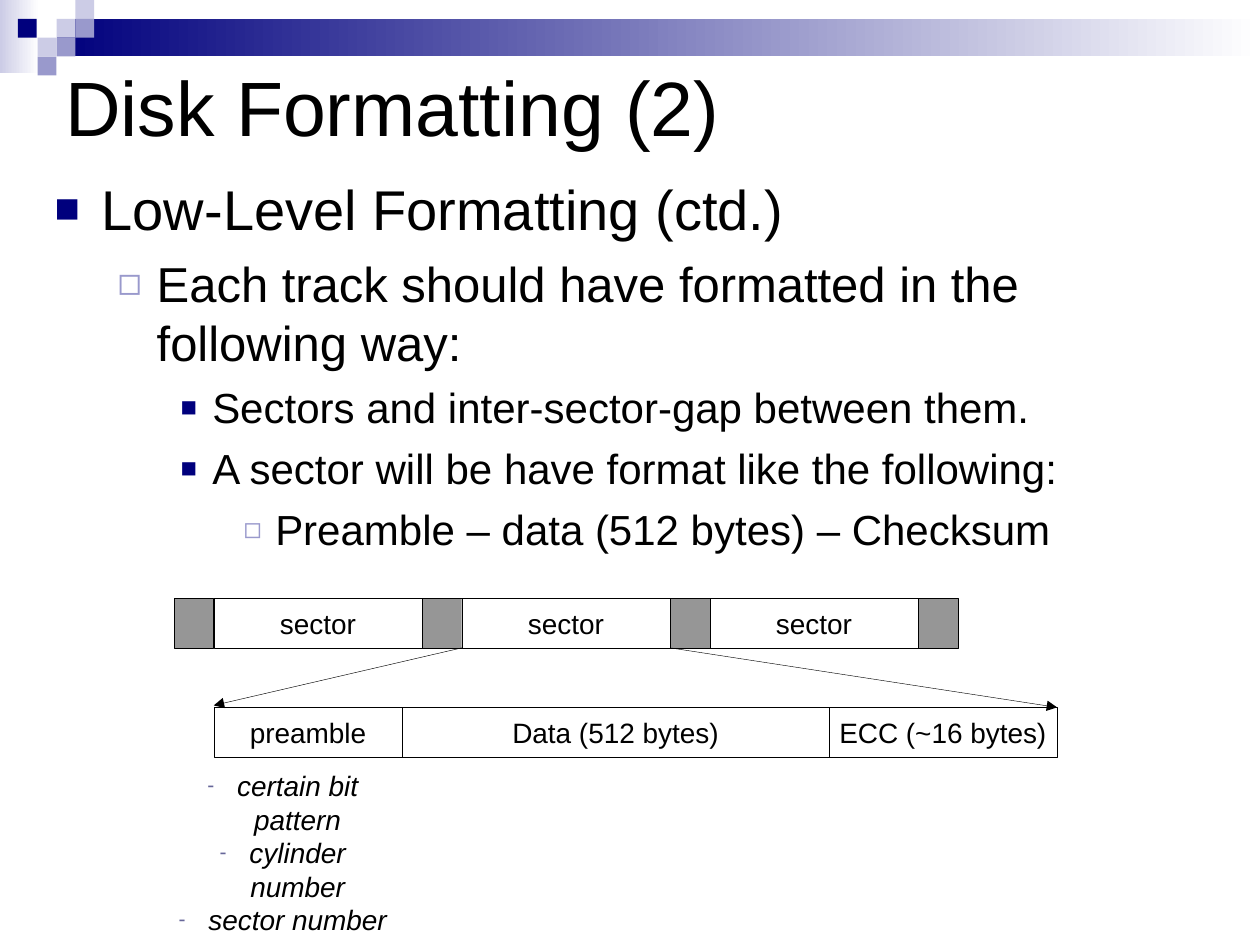
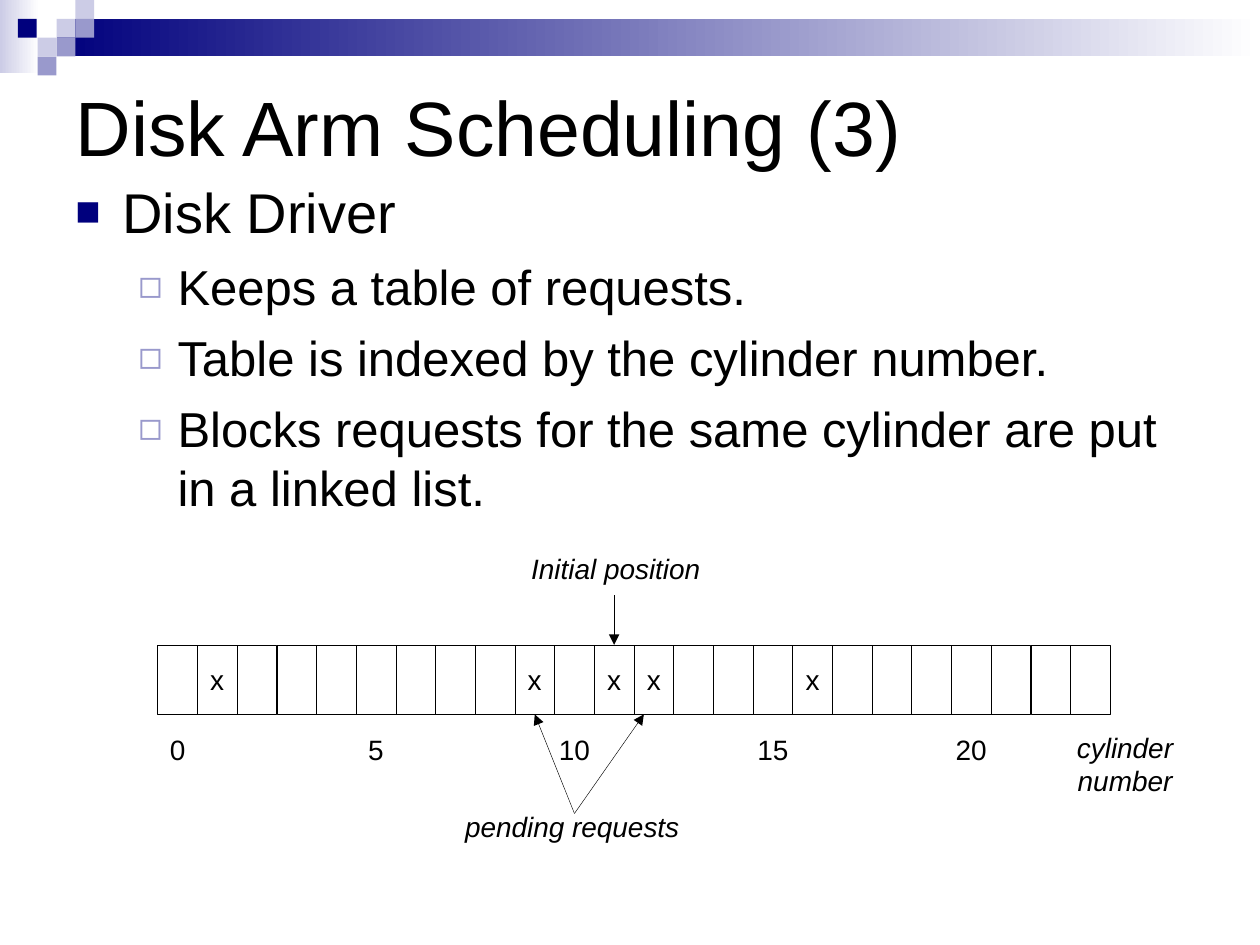
"""Build two slides on disk formatting and disk arm scheduling."""
from lxml import etree
from pptx import Presentation
from pptx import util as u
from pptx.dml.color import RGBColor
from pptx.enum import shapes, text
from pptx.oxml import ns

Cm, Pt = u.Cm, u.Pt
NAVY = RGBColor(0x00, 0x00, 0x7D)
LILAC = RGBColor(0x99, 0x99, 0xCC)
PALE = RGBColor(0xCC, 0xCC, 0xE6)
SLATE = RGBColor(0x66, 0x66, 0x99)
GRAY = RGBColor(0x96, 0x96, 0x96)
BLACK = RGBColor(0x00, 0x00, 0x00)
WHITE = RGBColor(0xFF, 0xFF, 0xFF)

FONT = "Arial"
HAIRLINE = Pt(0.25)
TILE = 0.38
TILES = [(3, 1, PALE), (4, 0, PALE), (4, 1, LILAC), (2, 2, PALE),
         (0.95, 1, NAVY), (3, 2, LILAC), (2, 3, LILAC)]
# Per level: size, left margin, hanging indent, space before, bullet, colour, percent
LEVELS = [(32, 0.95, 0.95, 8, "■", NAVY, 75),
          (28, 2.06, 0.79, 7, "◻", LILAC, 80),
          (24, 3.18, 0.64, 6, "■", NAVY, 65),
          (24, 4.45, 0.64, 6, "◻", LILAC, 70)]
CELL = 0.8


def write(para, content, size=16, italic=False, align=text.PP_ALIGN.CENTER):
    """Add formatted text to a paragraph."""
    para.alignment = align
    span = para.add_run()
    span.text = content
    span.font.name = FONT
    span.font.size = Pt(size)
    span.font.italic = italic
    span.font.color.rgb = BLACK


def paragraphs(frame, count):
    """Return the given number of paragraphs of a text frame."""
    return [frame.paragraphs[0]] + [frame.add_paragraph() for _ in range(count - 1)]


def set_bullet(para, char, color, percent, margin, hanging):
    """Give a paragraph a bullet with a hanging indent."""
    props = para._p.get_or_add_pPr()
    props.set("marL", str(Cm(margin)))
    props.set("indent", str(-Cm(hanging)))
    fill = etree.SubElement(props, ns.qn("a:buClr"))
    etree.SubElement(fill, ns.qn("a:srgbClr"), val=str(color))
    etree.SubElement(props, ns.qn("a:buSzPct"), val=str(percent * 1000))
    etree.SubElement(props, ns.qn("a:buFont"), typeface=FONT)
    etree.SubElement(props, ns.qn("a:buChar"), char=char)


def add_rect(page, left, top, width, height, fill=None, fade=False,
             outlined=False, label=None):
    """Draw a rectangle, plain, fading to white or outlined with a label."""
    rect = page.shapes.add_shape(shapes.MSO_SHAPE.RECTANGLE, Cm(left), Cm(top),
                                 Cm(width), Cm(height))
    rect.shadow.inherit = False
    if fade:
        rect.fill.gradient()
        rect.fill.gradient_angle = 0
        for stop, color in zip(rect.fill.gradient_stops, (fill, WHITE)):
            stop.color.rgb = color
    elif fill is not None:
        rect.fill.solid()
        rect.fill.fore_color.rgb = fill
    else:
        rect.fill.background()
    if outlined:
        rect.line.color.rgb = BLACK
        rect.line.width = HAIRLINE
    else:
        rect.line.fill.background()
    if label:
        rect.text_frame.word_wrap = False
        rect.text_frame.vertical_anchor = text.MSO_ANCHOR.MIDDLE
        write(rect.text_frame.paragraphs[0], label)


def add_label(page, left, top, width, height, *lines, italic=True,
              anchor=text.MSO_ANCHOR.TOP):
    """Add a centred text label without a frame or side margins."""
    box = page.shapes.add_textbox(Cm(left), Cm(top), Cm(width), Cm(height))
    frame = box.text_frame
    frame.word_wrap = False
    frame.margin_left = frame.margin_right = 0
    frame.vertical_anchor = anchor
    for para, line in zip(paragraphs(frame, len(lines)), lines):
        write(para, line, italic=italic)


def add_arrow(page, start, end):
    """Draw a thin arrow from start to end."""
    points = [Cm(value) for value in (*start, *end)]
    arrow = page.shapes.add_connector(shapes.MSO_CONNECTOR.STRAIGHT, *points)
    arrow.line.color.rgb = BLACK
    arrow.line.width = HAIRLINE
    etree.SubElement(arrow.line._get_or_add_ln(), ns.qn("a:tailEnd"), type="triangle")
    etree.SubElement(arrow._element.spPr, ns.qn("a:effectLst"))


def add_outline(page, left, top, width, height, items):
    """Add a bulleted outline from pairs of level and text."""
    box = page.shapes.add_textbox(Cm(left), Cm(top), Cm(width), Cm(height))
    box.text_frame.word_wrap = True
    for index, (para, (level, content)) in enumerate(
            zip(paragraphs(box.text_frame, len(items)), items)):
        size, margin, hanging, before, char, color, percent = LEVELS[level]
        para.level = level
        set_bullet(para, char, color, percent, margin, hanging)
        if index:
            para.space_before = Pt(before)
        write(para, content, size=size, align=text.PP_ALIGN.LEFT)


def add_notes_list(page, left, top, width, height, items):
    """Add a centred italic list with dashes."""
    box = page.shapes.add_textbox(Cm(left), Cm(top), Cm(width), Cm(height))
    box.text_frame.word_wrap = True
    for para, item in zip(paragraphs(box.text_frame, len(items)), items):
        set_bullet(para, "-", SLATE, 75, 0.6, 0.6)
        write(para, item, italic=True)


def add_page(deck, title, left, top, width, height):
    """Add a slide with the header band, corner tiles and a title."""
    page = deck.slides.add_slide(deck.slide_layouts.get_by_name("Title Only"))
    add_rect(page, 0, 0, 0.79, 1.47, fill=PALE, fade=True)
    add_rect(page, 3 * TILE, TILE, 25.4 - 3 * TILE, 2 * TILE, fill=NAVY, fade=True)
    for column, row, color in TILES:
        add_rect(page, column * TILE, row * TILE, TILE, TILE, fill=color)
    holder = page.shapes.title
    holder.left, holder.top = Cm(left), Cm(top)
    holder.width, holder.height = Cm(width), Cm(height)
    frame = holder.text_frame
    frame.auto_size = text.MSO_AUTO_SIZE.NONE
    frame.vertical_anchor = text.MSO_ANCHOR.MIDDLE
    write(frame.paragraphs[0], title, size=44, align=text.PP_ALIGN.LEFT)
    return page


def add_track(page):
    """Draw the track of sectors and gaps and the layout of one sector."""
    left, top, height, sector = 3.51, 12.06, 1, 4.2
    pitch = CELL + sector
    for index in range(4):
        gap_left = left + index * pitch
        add_rect(page, gap_left, top, CELL, height, fill=GRAY, outlined=True)
        if index < 3:
            add_rect(page, gap_left + CELL, top, sector, height,
                     outlined=True, label="sector")

    record_left = field_left = left + CELL
    record_top = 14.26
    for label, width in [("preamble", 3.8), ("Data (512 bytes)", 8.6),
                         ("ECC (~16 bytes)", 4.6)]:
        add_rect(page, field_left, record_top, width, height, outlined=True, label=label)
        field_left += width

    bottom = top + height
    add_arrow(page, (left + pitch + CELL, bottom), (record_left, record_top - 0.04))
    add_arrow(page, (left + 2 * pitch, bottom), (field_left, record_top))
    add_notes_list(page, 3.2, 15.37, 5, 2.29,
                   ["certain bit pattern", "cylinder number", "sector number"])


def add_cylinders(page):
    """Draw the row of cylinders with its requests and labels."""
    left, top, height = 3.18, 13, 1.4
    bottom = top + height
    requests = {1, 9, 11, 12, 16}
    for index in range(24):
        add_rect(page, left + index * CELL, top, CELL, height, outlined=True,
                 label="x" if index in requests else None)
    for index in range(0, 24, 5):
        add_label(page, left + index * CELL, bottom, CELL, height, str(index),
                  italic=False, anchor=text.MSO_ANCHOR.MIDDLE)

    head = left + 11.5 * CELL
    add_arrow(page, (head, 12), (head, top))
    add_label(page, 10.46, 11, 3.91, 0.94, "Initial position")
    for target in (10.78, 12.98):
        add_arrow(page, (11.58, 16.4), (target, bottom))
    add_label(page, 9.12, 16.2, 4.83, 0.94, "pending requests")
    add_label(page, 21.46, 14.6, 2.44, 1.63, "cylinder", "number")


def main():
    """Build and save the deck."""
    deck = Presentation()
    deck.slide_width, deck.slide_height = Cm(25.4), Cm(19.05)

    page = add_page(deck, "Disk Formatting (2)", 1.06, 0.64, 22.86, 2.97)
    add_outline(page, 0.85, 3.39, 23.5, 11.63, [
        (0, "Low-Level Formatting (ctd.)"),
        (1, "Each track should have formatted in the following way:"),
        (2, "Sectors and inter-sector-gap between them."),
        (2, "A sector will be have format like the following:"),
        (3, "Preamble – data (512 bytes) – Checksum"),
    ])
    add_track(page)

    page = add_page(deck, "Disk Arm Scheduling (3)", 1.27, 1.27, 22.86, 2.54)
    add_outline(page, 1.27, 3.45, 22.86, 9.47, [
        (0, "Disk Driver"),
        (1, "Keeps a table of requests."),
        (1, "Table is indexed by the cylinder number."),
        (1, "Blocks requests for the same cylinder are put in a linked list."),
    ])
    add_cylinders(page)
    deck.save("out.pptx")


if __name__ == "__main__":
    main()
